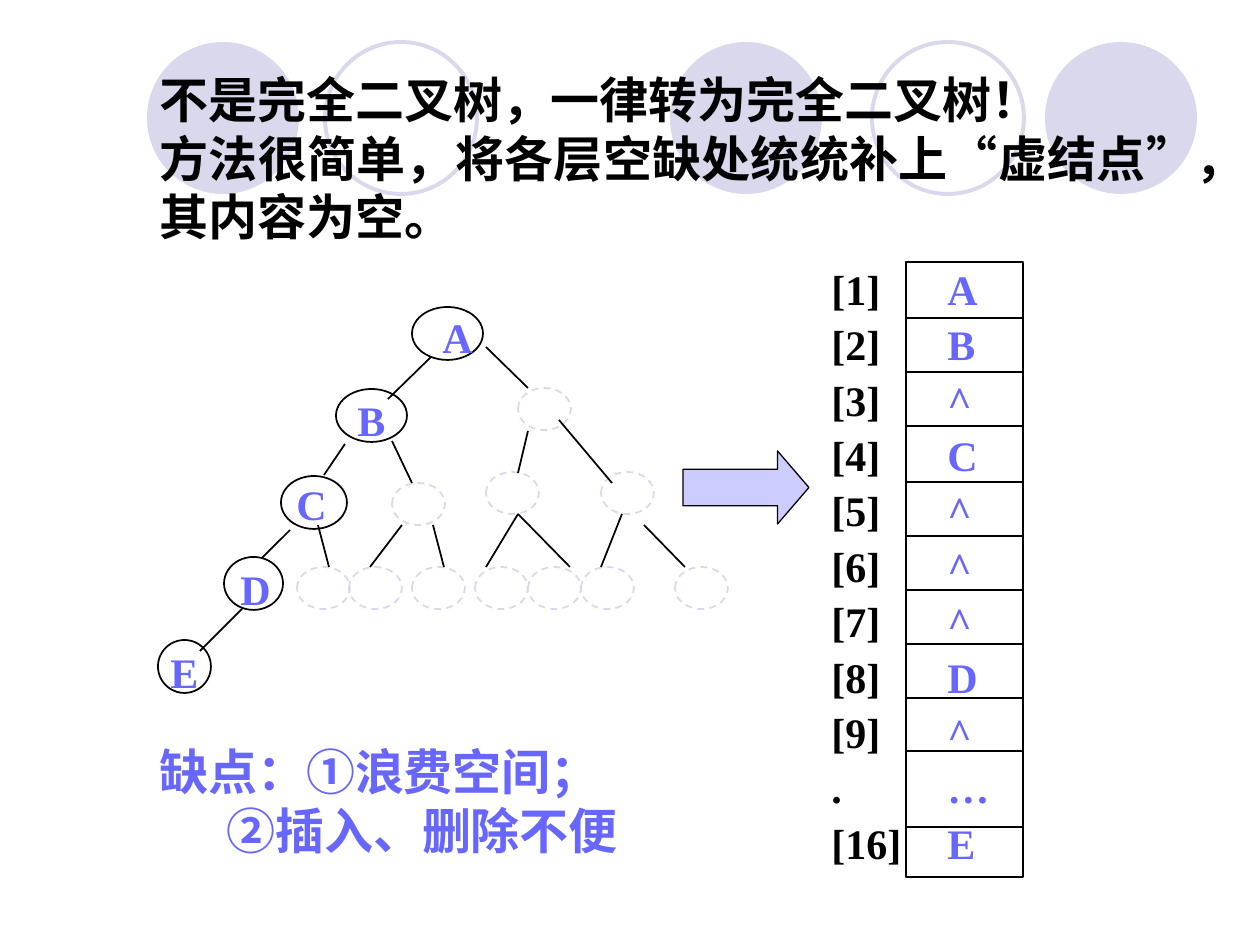
"""Build the slide on padding a binary tree into a complete one stored as an array."""
from lxml.etree import SubElement
from pptx import Presentation
from pptx.dml.color import RGBColor
from pptx.enum.dml import MSO_LINE
from pptx.enum.shapes import MSO_CONNECTOR, MSO_SHAPE
from pptx.enum.text import MSO_ANCHOR, MSO_AUTO_SIZE, PP_ALIGN
from pptx.oxml.ns import qn
from pptx.util import Emu, Pt

BLACK = RGBColor(0x00, 0x00, 0x00)
VIOLET = RGBColor(0x67, 0x67, 0xFF)
LILAC = RGBColor(0xD9, 0xD8, 0xEC)
PALE_BLUE = RGBColor(0xCC, 0xCC, 0xFF)
CJK, SERIF = "Noto Sans CJK SC", "Times New Roman"

TITLE = [
    [("不是完全二叉树，一律转为完全二叉树！", CJK)],
    [("方法很简单，将各层空缺处统统补上", CJK), ("“", SERIF), ("虚结点", CJK),
     ("”", SERIF), ("，其内容为空。", CJK)],
]
DRAWBACKS = ["缺点：①浪费空间；", "②插入、删除不便"]
CELLS = [("[1]", "A"), ("[2]", "B"), ("[3]", "^"), ("[4]", "C"), ("[5]", "^"),
         ("[6]", "^"), ("[7]", "^"), ("[8]", "D"), ("[9]", "^"), (".", "…"), ("[16]", "E")]
DIVIDERS = [318, 372, 426, 482, 536, 590, 644, 698, 751, 827]
DISCS, RINGS = [147, 670, 1045], [325, 872]

NODES = [
    ("A", (412, 307, 71, 53), (430, 305)),
    ("B", (336, 389, 71, 53), (345, 388)),
    ("C", (281, 476, 66, 53), (284, 472)),
    ("D", (224, 557, 59, 53), (228, 557)),
    ("E", (158, 640, 53, 53), (158, 640)),
]
EMPTY_NODES = {388: [518], 472: [486, 601], 483: [392],
               567: [297, 349, 412, 475, 528, 581, 675]}
EDGES = [
    (431, 357, 388, 399), (486, 347, 528, 388), (345, 444, 324, 475),
    (392, 441, 412, 483), (528, 431, 518, 473), (559, 420, 612, 483),
    (290, 530, 262, 558), (318, 525, 329, 567), (402, 525, 370, 567),
    (433, 525, 444, 567), (518, 514, 486, 567), (518, 514, 570, 567),
    (622, 514, 601, 567), (644, 525, 685, 567), (242, 609, 200, 651),
]


def px(*values):
    return [Emu(round(v * 914400 / 126)) for v in values]


def write(tf, paragraphs, *, size=24, font=SERIF, color=VIOLET, align=PP_ALIGN.LEFT,
          spacing=None, wrap=False):
    tf.word_wrap = wrap
    tf.auto_size = MSO_AUTO_SIZE.NONE
    tf.vertical_anchor = MSO_ANCHOR.TOP
    for i, runs in enumerate(paragraphs):
        p = tf.add_paragraph() if i else tf.paragraphs[0]
        p.alignment, p.line_spacing = align, spacing
        for text, face in [(runs, font)] if isinstance(runs, str) else runs:
            r = p.add_run()
            r.text = text
            r.font.size, r.font.bold, r.font.name = Pt(size), True, face
            r.font.color.rgb = color
            SubElement(r.font._element, qn("a:ea"), typeface=CJK)


def add_text(s, box, paragraphs, **fmt):
    tf = s.shapes.add_textbox(*px(*box)).text_frame
    write(tf, paragraphs, **fmt)
    return tf


def add_shape(s, kind, box, fill=None, line=None, width=1, dash=None):
    sp = s.shapes.add_shape(kind, *px(*box))
    sp.shadow.inherit = False
    if fill is None:
        sp.fill.background()
    else:
        sp.fill.solid()
        sp.fill.fore_color.rgb = fill
    if line is None:
        sp.line.fill.background()
    else:
        sp.line.color.rgb, sp.line.width = line, Pt(width)
        sp.line.dash_style = dash
    return sp


def add_line(s, ends):
    c = s.shapes.add_connector(MSO_CONNECTOR.STRAIGHT, *px(*ends))
    c.line.color.rgb, c.line.width = BLACK, Pt(1)
    SubElement(c._element.spPr, qn("a:effectLst"))


def add_heading(s):
    for x in DISCS:
        add_shape(s, MSO_SHAPE.OVAL, (x, 42, 152, 152), fill=LILAC)
    for x in RINGS:
        add_shape(s, MSO_SHAPE.OVAL, (x, 42, 152, 152), line=LILAC, width=2.25)
    title = s.shapes.title
    title.left, title.top, title.width, title.height = px(147, 63, 1061, 189)
    write(title.text_frame, TITLE, size=28, color=BLACK, align=PP_ALIGN.JUSTIFY, wrap=True)
    s.shapes._spTree.append(title._element)


def add_array(s):
    labels, values = zip(*CELLS)
    add_text(s, (935, 252, 68, 622), values, spacing=1.1)
    add_shape(s, MSO_SHAPE.RECTANGLE, (906, 262, 117, 615), line=BLACK)
    for y in DIVIDERS:
        add_line(s, (905, y, 1024, y))
    add_text(s, (819, 252, 96, 622), labels, color=BLACK, spacing=1.1)


def add_tree(s):
    for name, oval, (x, y) in NODES:
        add_shape(s, MSO_SHAPE.OVAL, oval, line=BLACK)
        add_text(s, (x, y, 55, 63), [name])
    for y, lefts in EMPTY_NODES.items():
        for x in lefts:
            add_shape(s, MSO_SHAPE.OVAL, (x, y, 53, 42), line=LILAC, dash=MSO_LINE.DASH)
    for ends in EDGES:
        add_line(s, ends)


def main():
    prs = Presentation()
    prs.slide_width, prs.slide_height = px(1260, 945)
    s = prs.slides.add_slide(prs.slide_layouts[5])
    add_heading(s)
    add_array(s)
    tf = add_text(s, (147, 735, 640, 131), DRAWBACKS, size=28, font=CJK, wrap=True)
    tf.paragraphs[1]._p.get_or_add_pPr().set("marL", str(px(67)[0]))
    arrow = add_shape(s, MSO_SHAPE.RIGHT_ARROW, (683, 451, 126, 73),
                      fill=PALE_BLUE, line=BLACK, width=0.75)
    arrow.adjustments[1] = 0.43
    add_tree(s)
    prs.save("out.pptx")


if __name__ == "__main__":
    main()
